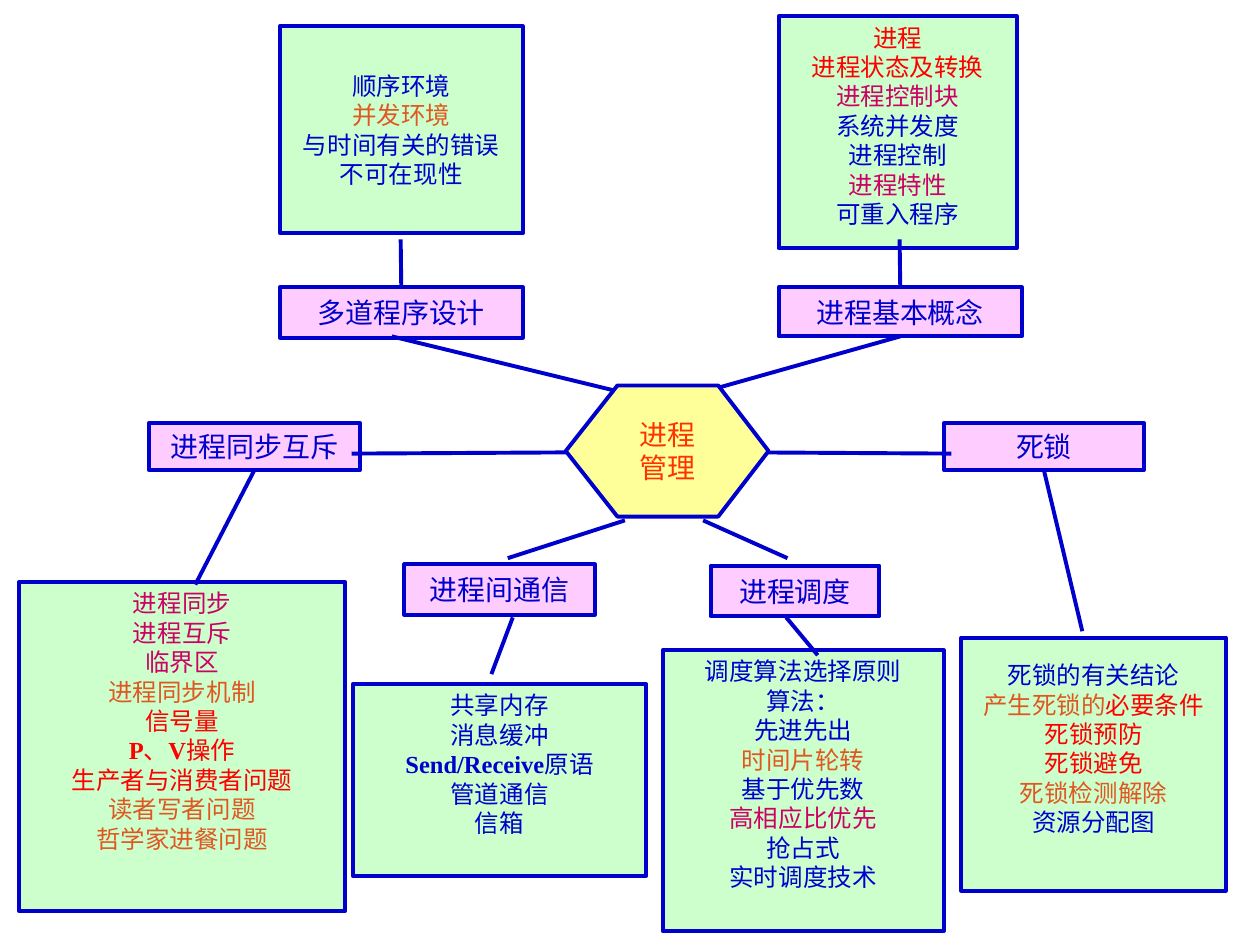
from itertools import groupby

from lxml import etree
from pptx import Presentation
from pptx.dml.color import RGBColor
from pptx.enum.shapes import MSO_CONNECTOR, MSO_SHAPE
from pptx.enum.text import MSO_ANCHOR, PP_ALIGN
from pptx.oxml.ns import qn
from pptx.util import Inches, Pt

RECT = MSO_SHAPE.RECTANGLE
STRAIGHT = MSO_CONNECTOR.STRAIGHT
TOP, MIDDLE = MSO_ANCHOR.TOP, MSO_ANCHOR.MIDDLE
CENTER = PP_ALIGN.CENTER
TOP_SIDE, BOTTOM_SIDE = 0, 2

THEME = {
    "blue": "0000CC", "red": "FF0000", "pink": "CC0066", "orange": "DF5721",
    "core": "FF3300", "card_fill": "CCFFCC", "topic_fill": "FFCCFF", "core_fill": "FFFF99",
    "card_size": 14, "topic_size": 16, "leading": 1.2, "line": 2.25,
    "cjk": "Noto Sans CJK SC", "latin": "Times New Roman",
}

prs = Presentation()
prs.slide_width, prs.slide_height = Inches(10), Inches(7.5)
s = prs.slides.add_slide(prs.slide_layouts[6])
UNIT = prs.slide_width / 100  # grid of 100 columns by 75 rows


def cells(*counts):
    return [round(n * UNIT) for n in counts]


def dress(sp, fill, lines, size, anchor, top=0.5):
    """Fill and outline a shape, then write lines made of (colour, text) parts."""
    sp.shadow.inherit = False
    sp.fill.solid()
    sp.fill.fore_color.rgb = RGBColor.from_string(THEME[fill])
    sp.line.color.rgb = RGBColor.from_string(THEME["blue"])
    sp.line.width = Pt(THEME["line"])
    tf = sp.text_frame
    tf.word_wrap = True
    tf.vertical_anchor = anchor
    tf.margin_left, tf.margin_right, tf.margin_top, tf.margin_bottom = cells(0.5, 0.5, top, 0.5)
    for i, parts in enumerate(lines):
        p = tf.paragraphs[0] if i == 0 else tf.add_paragraph()
        p.alignment = CENTER
        p.line_spacing = Pt(size * THEME["leading"])
        for colour, text in parts:
            for latin, letters in groupby(text, str.isascii):
                r = p.add_run()
                r.text = "".join(letters)
                r.font.size = Pt(size)
                r.font.bold = latin
                r.font.color.rgb = RGBColor.from_string(THEME[colour])
                r.font.name = THEME["latin" if latin else "cjk"]
                etree.SubElement(r.font._element, qn("a:ea")).set("typeface", THEME["cjk"])


# Detail cards: place in grid cells, anchor, top inset, lines
cards = [
    ((61.8, 1.3, 18.9, 18.4), TOP, 0.5, [
        [("red", "进程")], [("red", "进程状态及转换")], [("pink", "进程控制块")],
        [("blue", "系统并发度")], [("blue", "进程控制")], [("pink", "进程特性")],
        [("blue", "可重入程序")]]),
    ((28, 54.3, 23.3, 15.2), TOP, 0.5, [
        [("blue", "共享内存")], [("blue", "消息缓冲")], [("blue", "Send/Receive原语")],
        [("blue", "管道通信")], [("blue", "信箱")]]),
    ((52.6, 51.6, 22.3, 22.3), TOP, 0.5, [
        [("blue", "调度算法选择原则")], [("blue", "算法：")], [("blue", "先进先出")],
        [("orange", "时间片轮转")], [("blue", "基于优先数")], [("pink", "高相应比优先")],
        [("blue", "抢占式")], [("blue", "实时调度技术")]]),
    ((1.5, 46.2, 25.9, 26.1), TOP, 0.5, [
        [("pink", "进程同步")], [("pink", "进程互斥")], [("pink", "临界区")],
        [("orange", "进程同步机制")], [("red", "信号量")], [("red", "P、V操作")],
        [("red", "生产者与消费者问题")], [("orange", "读者写者问题")],
        [("orange", "哲学家进餐问题")]]),
    ((76.3, 50.6, 21, 20.1), TOP, 1.8, [
        [("blue", "死锁的有关结论")], [("orange", "产生死锁的"), ("red", "必要条件")],
        [("red", "死锁预防")], [("red", "死锁避免")], [("orange", "死锁检测解除")],
        [("blue", "资源分配图")]]),
    ((22.2, 2.1, 19.3, 16.4), MIDDLE, 0.5, [
        [("blue", "顺序环境")], [("orange", "并发环境")],
        [("blue", "与时间有关的错误")], [("blue", "不可在现性")]]),
]
for place, anchor, top, lines in cards:
    dress(s.shapes.add_shape(RECT, *cells(*place)), "card_fill", lines,
          THEME["card_size"], anchor, top)

# Topic labels
topics = {
    "多道程序设计": (22.2, 22.8, 19.3, 4),
    "进程基本概念": (61.8, 22.8, 19.3, 3.9),
    "进程同步互斥": (11.8, 33.6, 16.8, 3.7),
    "进程间通信": (32.1, 44.8, 15.1, 4),
    "进程调度": (56.4, 44.9, 13.4, 4),
    "死锁": (74.9, 33.6, 15.9, 3.7),
}
labels = {}
for name, place in topics.items():
    labels[name] = s.shapes.add_shape(RECT, *cells(*place))
    dress(labels[name], "topic_fill", [[("blue", name)]], THEME["topic_size"], MIDDLE)

# Links: start, end, and the topic side the start is joined to
links = [
    ((31.1, 26.7), (49.6, 31.2), None),
    ((71.4, 26.7), (55.5, 31.2), ("进程基本概念", BOTTOM_SIDE)),
    ((40.3, 44.3), (49.6, 41.3), None),
    ((62.5, 44.3), (55.8, 41.3), None),
    ((27.9, 36), (46.2, 35.9), None),
    ((75.5, 36), (58.7, 35.9), None),
    ((31.8, 22.8), (31.8, 19), ("多道程序设计", TOP_SIDE)),
    ((71.4, 22.8), (71.4, 19), ("进程基本概念", TOP_SIDE)),
    ((62.4, 49), (64.9, 52), None),
    ((20.5, 37.5), (15.5, 46.4), ("进程同步互斥", BOTTOM_SIDE)),
    ((40.7, 49), (39, 53.5), None),
    ((82.6, 37.5), (85.9, 50.1), ("死锁", BOTTOM_SIDE)),
]
for start, end, joint in links:
    link = s.shapes.add_connector(STRAIGHT, *cells(*start, *end))
    link.line.color.rgb = RGBColor.from_string(THEME["blue"])
    link.line.width = Pt(THEME["line"])
    etree.SubElement(link._element.spPr, qn("a:effectLst"))
    if joint:
        name, side = joint
        link.begin_connect(labels[name], side)

# Central hexagon
outline = [(49, 30.6), (44.9, 35.8), (49, 41), (57, 41), (61, 35.8), (57, 30.6)]
corners = [cells(*corner) for corner in outline]
builder = s.shapes.build_freeform(*corners[0])
builder.add_line_segments(corners[1:], close=True)
dress(builder.convert_to_shape(), "core_fill", [[("core", "进程")], [("core", "管理")]],
      THEME["topic_size"], MIDDLE)

prs.save("out.pptx")
